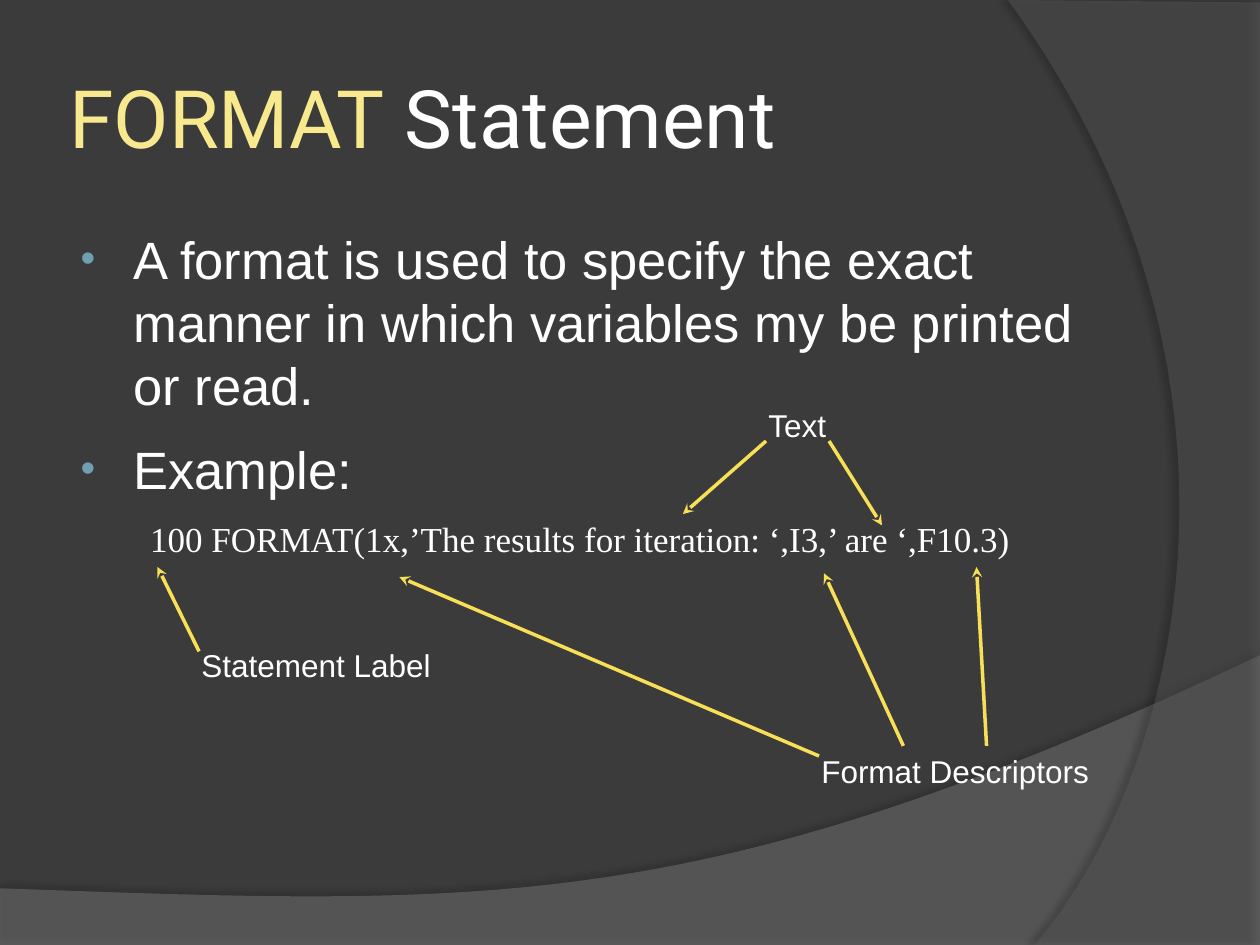
from lxml.etree import SubElement
from pptx import Presentation
from pptx.dml.color import RGBColor
from pptx.enum.text import MSO_ANCHOR, MSO_AUTO_SIZE, PP_ALIGN
from pptx.oxml import parse_xml
from pptx.oxml.ns import nsdecls, qn
from pptx.util import Inches, Pt

HUES = {"back": "3B3B3B", "wave": "7F7F7F", "arc": "5E5E5E", "gold": "F9E98E",
        "white": "FFFFFF", "dot": "6EA0B0", "line": "F7DF56"}


def style(run, font, size, hue="white"):
    run.font.name = font
    run.font.size = Pt(size)
    run.font.color.rgb = RGBColor.from_string(HUES[hue])


def curve(a, b, c, d, steps=60):
    """Points along a cubic curve from a to d."""
    points = []
    for i in range(steps + 1):
        t = i / steps
        u = 1 - t
        points.append([u**3 * p + 3 * u * u * t * q + 3 * u * t * t * r + t**3 * s
                       for p, q, r, s in zip(a, b, c, d)])
    return points


deck = Presentation()
deck.slide_width, deck.slide_height = Inches(10), Inches(7.5)
slide = deck.slides.add_slide(deck.slide_layouts[1])
slide.background.fill.solid()
slide.background.fill.fore_color.rgb = RGBColor.from_string(HUES["back"])

# Curved backdrop: points, hue, opacity, shadow opacity, shadow distance, direction
wave = [(0, 7.51), (10, 7.51)] + curve((10, 5.2), (5.59, 7.29), (3.91, 7.19), (0, 7.05))
arc = [(10, 0.02), (10, 7.5)] + curve((8.21, 7.5), (9.35, 6.19), (10.18, 3), (8, 0))
bands = [(wave, "wave", 45, 35, 3.5, 270), (arc, "arc", 40, 45, 4, 180)]
for spot, (points, hue, alpha, dark, dist, angle) in enumerate(bands, 2):
    points = [(Inches(x), Inches(y)) for x, y in points]
    pen = slide.shapes.build_freeform(*points[0])
    pen.add_line_segments(points[1:], close=True)
    band = pen.convert_to_shape()
    band.fill.solid()
    band.fill.fore_color.rgb = RGBColor.from_string(HUES[hue])
    band.line.fill.background()
    tint = band.fill._xPr.find(qn("a:solidFill"))[0]
    SubElement(tint, qn("a:alpha"), val=str(alpha * 1000))
    band._element.spPr.append(parse_xml(
        f'<a:effectLst {nsdecls("a")}><a:outerShdw blurRad="{Pt(4)}" dist="{Pt(dist)}" '
        f'dir="{angle * 60000}" rotWithShape="0"><a:srgbClr val="000000">'
        f'<a:alpha val="{dark * 1000}"/></a:srgbClr></a:outerShdw></a:effectLst>'))
    slide.shapes._spTree.insert(spot, band._element)

# Title
title, body = slide.placeholders
title.left, title.top, title.width, title.height = map(Inches, (0.5, 0.3, 8.17, 1.25))
frame = title.text_frame
frame.auto_size = MSO_AUTO_SIZE.NONE
frame.vertical_anchor = MSO_ANCHOR.MIDDLE
frame.margin_left = frame.margin_right = Inches(0.05)
frame.margin_top = frame.margin_bottom = Inches(0.05)
para = frame.paragraphs[0]
para.alignment = PP_ALIGN.LEFT
for text, hue in [("FORMAT", "gold"), (" Statement", "white")]:
    run = para.add_run()
    run.text = text
    style(run, "Roboto", 46, hue)

# Bullets and the code line
body.left, body.top, body.width, body.height = map(Inches, (0.5, 1.75, 8.17, 3.17))
frame = body.text_frame
frame.auto_size = MSO_AUTO_SIZE.NONE
frame.text = "\n".join([
    "A format is used to specify the exact manner in which variables my be printed or read.",
    "Example:",
    "100 FORMAT(1x,’The results for iteration: ‘,I3,’ are ‘,F10.3)"])
code = len(frame.paragraphs) - 1
for i, para in enumerate(frame.paragraphs):
    para.space_after = Pt(6)
    props = para._p.get_or_add_pPr()
    props.set("marL", str(Inches(0.46)))
    props.set("indent", str(Inches(-0.42)))
    if i == code:
        para.alignment = PP_ALIGN.CENTER
        SubElement(props, qn("a:buNone"))
        style(para.runs[0], "Times New Roman", 20)
    else:
        tint = SubElement(props, qn("a:buClr"))
        SubElement(tint, qn("a:srgbClr"), val=HUES["dot"])
        SubElement(props, qn("a:buSzPct"), val="80000")
        SubElement(props, qn("a:buFont"), typeface="Arial")
        SubElement(props, qn("a:buChar"), char="•")
        style(para.runs[0], "Arial", 30)

# Labels
labels = [("Statement Label", 1.5, 5.08, 2.04), ("Format Descriptors", 6.42, 5.92, 2.35),
          ("Text", 6, 3.17, 0.66)]
for text, x, y, wide in labels:
    box = slide.shapes.add_textbox(Inches(x), Inches(y), Inches(wide), Inches(0.4))
    box.text_frame.text = text
    box.text_frame.word_wrap = False
    box.text_frame.auto_size = MSO_AUTO_SIZE.SHAPE_TO_FIT_TEXT
    style(box.text_frame.paragraphs[0].runs[0], "Arial", 18)

# Arrows from the labels to the code
arrows = [(1.58, 5.17, 1.25, 4.5), (6.5, 6, 3.17, 4.58), (7.17, 5.92, 6.54, 4.55),
          (7.83, 5.92, 7.75, 4.5), (6.08, 3.5, 5.42, 4.08), (6.58, 3.5, 7, 4.17)]
for ends in arrows:
    arrow = slide.shapes.add_connector(1, *map(Inches, ends))
    arrow.line.color.rgb = RGBColor.from_string(HUES["line"])
    arrow.line.width = Pt(2)
    SubElement(arrow.line._get_or_add_ln(), qn("a:tailEnd"), type="stealth")
    SubElement(arrow._element.spPr, qn("a:effectLst"))

deck.save("out.pptx")
